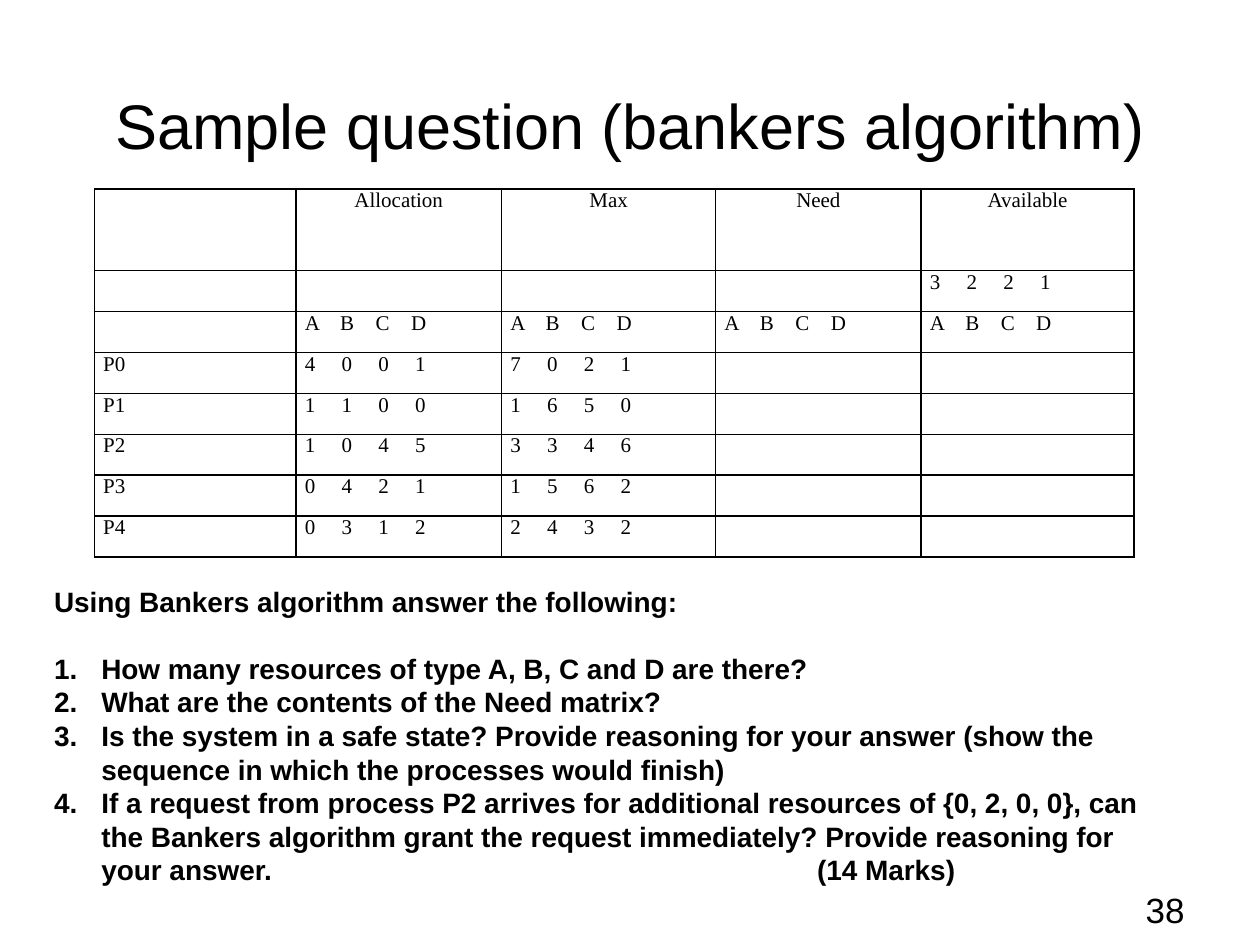
from lxml import etree
from pptx import Presentation
from pptx import util as u
from pptx.dml import color
from pptx.enum import text
from pptx.oxml import ns

COLORS = {"ink": "000000", "paper": "FFFFFF"}
QUESTIONS = [
    "How many resources of type A, B, C and D are there?",
    "What are the contents of the Need matrix?",
    "Is the system in a safe state? Provide reasoning for your answer "
    "(show the sequence in which the processes would finish)",
    "If a request from process P2 arrives for additional resources of "
    "{0, 2, 0, 0}, can the Bankers algorithm grant the request immediately? "
    "Provide reasoning for your answer.\t(14 Marks)",
]
HEADINGS = ["", "Allocation", "Max", "Need", "Available"]
PROCESSES = [
    ("P0", "4001", "7021"),
    ("P1", "1100", "1650"),
    ("P2", "1045", "3346"),
    ("P3", "0421", "1562"),
    ("P4", "0312", "2432"),
]
COLUMN_WIDTHS = [115.2, 117.4, 122.4, 117.4, 121.6]
ROW_HEIGHT = 23.36
DIGIT_STEP = 21
LETTER_STEP = 20.25


def rgb(name):
    return color.RGBColor.from_string(COLORS[name])


def add_run(paragraph, content, size, font="Arial", bold=False):
    run = paragraph.add_run()
    run.text = content
    run.font.name = font
    run.font.size = u.Pt(size)
    run.font.bold = bold
    run.font.color.rgb = rgb("ink")


def add_tab_stops(paragraph, positions):
    properties = paragraph._p.get_or_add_pPr()
    stops = etree.SubElement(properties, ns.qn("a:tabLst"))
    for position in positions:
        etree.SubElement(stops, ns.qn("a:tab"), pos=str(u.Pt(position)), algn="l")


def add_numbering(paragraph, indent):
    properties = paragraph._p.get_or_add_pPr()
    properties.set("marL", str(u.Pt(indent)))
    properties.set("indent", str(u.Pt(-indent)))
    etree.SubElement(properties, ns.qn("a:buFont"), typeface="+mj-lt")
    etree.SubElement(properties, ns.qn("a:buAutoNum"), type="arabicPeriod")


def add_text_box(slide, left, top, width, height, anchor=text.MSO_ANCHOR.TOP):
    shape = slide.shapes.add_textbox(u.Pt(left), u.Pt(top), u.Pt(width), u.Pt(height))
    shape.text_frame.word_wrap = True
    shape.text_frame.vertical_anchor = anchor
    return shape.text_frame


def add_label(slide, content, size, alignment, box, anchor=text.MSO_ANCHOR.TOP):
    paragraph = add_text_box(slide, *box, anchor).paragraphs[0]
    paragraph.alignment = alignment
    add_run(paragraph, content, size)


def add_borders(cell):
    properties = cell._tc.get_or_add_tcPr()
    for side in ("lnL", "lnR", "lnT", "lnB"):
        line = etree.SubElement(properties, ns.qn("a:" + side), w=str(u.Pt(1)))
        fill = etree.SubElement(line, ns.qn("a:solidFill"))
        etree.SubElement(fill, ns.qn("a:srgbClr"), val=COLORS["ink"])


def fill_cell(cell, content, centred):
    cell.margin_left = cell.margin_right = u.Pt(5)
    cell.margin_top = cell.margin_bottom = 0
    add_borders(cell)
    cell.fill.background()
    if not content:
        return
    paragraph = cell.text_frame.paragraphs[0]
    if centred:
        paragraph.alignment = text.PP_ALIGN.CENTER
    elif len(content) == 4:
        step = DIGIT_STEP if content.isdigit() else LETTER_STEP
        add_tab_stops(paragraph, [step * i for i in (1, 2, 3)])
        content = "\t".join(content)
    add_run(paragraph, content, 12, "Times New Roman")


def add_resource_table(slide):
    rows = [
        HEADINGS,
        ["", "", "", "", "3221"],
        [""] + ["ABCD"] * 4,
        *[[*process, "", ""] for process in PROCESSES],
    ]
    heights = [2 * ROW_HEIGHT] + [ROW_HEIGHT] * (len(rows) - 1)
    table = slide.shapes.add_table(
        len(rows), len(HEADINGS), u.Pt(54), u.Pt(108),
        u.Pt(sum(COLUMN_WIDTHS)), u.Pt(sum(heights)),
    ).table
    table.first_row = table.horz_banding = False
    for column, width in zip(table.columns, COLUMN_WIDTHS):
        column.width = u.Pt(width)
    for row, height, values in zip(table.rows, heights, rows):
        row.height = u.Pt(height)
        for cell, value in zip(row.cells, values):
            fill_cell(cell, value, values is HEADINGS)


def add_questions(slide):
    frame = add_text_box(slide, 23.8, 330.5, 635.8, 181.4)
    introduction = frame.paragraphs[0]
    introduction.space_after = u.Pt(19)
    add_run(introduction, "Using Bankers algorithm answer the following:", 16, bold=True)
    for question in QUESTIONS:
        paragraph = frame.add_paragraph()
        add_numbering(paragraph, 27)
        if "\t" in question:
            add_tab_stops(paragraph, [436])
        add_run(paragraph, question, 16, bold=True)


def main():
    presentation = Presentation()
    presentation.slide_width = u.Pt(720)
    presentation.slide_height = u.Pt(540)
    slide = presentation.slides.add_slide(presentation.slide_layouts[6])
    slide.background.fill.solid()
    slide.background.fill.fore_color.rgb = rgb("paper")
    add_label(slide, "Sample question (bankers algorithm)", 36, text.PP_ALIGN.CENTER,
              (36, 21.6, 648, 98.6), text.MSO_ANCHOR.MIDDLE)
    add_resource_table(slide)
    add_label(slide, "38", 20, text.PP_ALIGN.RIGHT, (516, 504, 168, 22.5))
    add_questions(slide)
    presentation.save("out.pptx")


if __name__ == "__main__":
    main()
